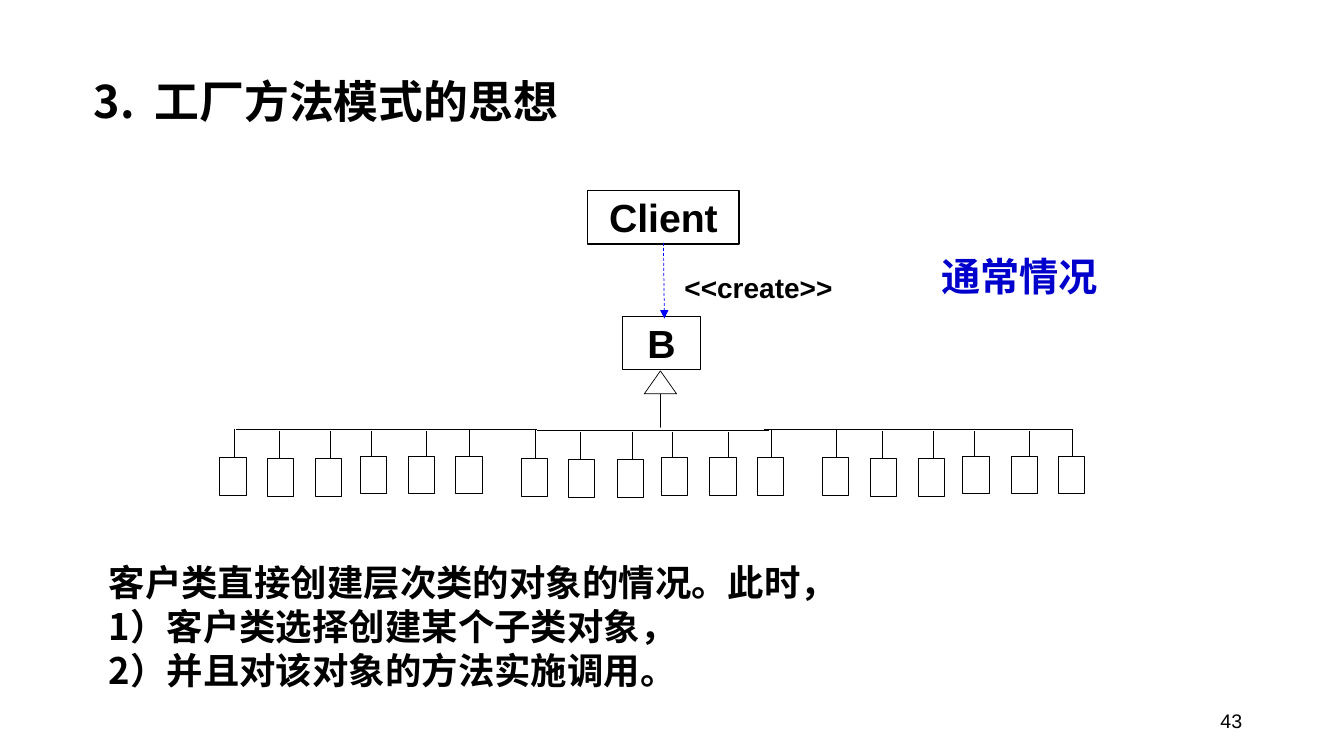
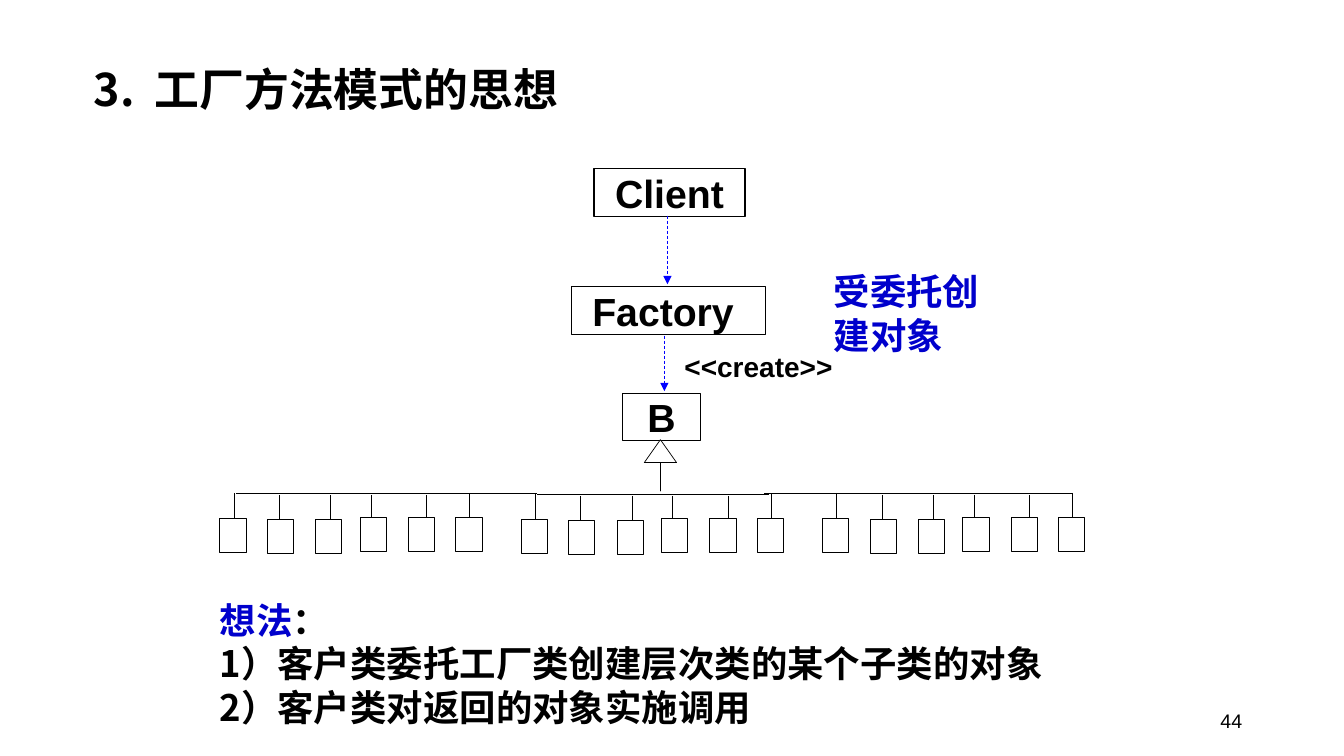
from dataclasses import dataclass

from lxml import etree
from pptx import Presentation
from pptx.dml.color import RGBColor
from pptx.enum.dml import MSO_LINE
from pptx.enum.shapes import MSO_CONNECTOR, MSO_SHAPE
from pptx.enum.text import MSO_ANCHOR, PP_ALIGN
from pptx.oxml.ns import qn
from pptx.util import Inches, Pt

LEFT, CENTER, RIGHT = PP_ALIGN.LEFT, PP_ALIGN.CENTER, PP_ALIGN.RIGHT
TOP, MIDDLE = MSO_ANCHOR.TOP, MSO_ANCHOR.MIDDLE
RECT, UP_ARROW = MSO_SHAPE.RECTANGLE, MSO_SHAPE.UP_ARROW
STRAIGHT, DASH = MSO_CONNECTOR.STRAIGHT, MSO_LINE.DASH

BLACK, WHITE, ACCENT, ARROW_BLUE = "000000", "FFFFFF", "0000CC", "0000FF"
LATIN, CHINESE = "Arial", "Noto Sans CJK SC"
THIN = 0.5
CHINESE_LEADING = 1.2
TITLE_GAP = 7

# Subclass tree: three groups of six, measured from the first group
GROUP_PITCH = 2.99
STEM_XS = (2.32, 2.77, 3.28, 3.68, 4.23, 4.66)
BOX_XS = (2.18, 2.65, 3.13, 3.57, 4.05, 4.52)
BOX_DROPS = (0.28, 0.29, 0.29, 0.27, 0.27, 0.27)
BARS = ((2.34, 5.33), (5.33, 7.63), (7.58, 10.63))
GROUP_DROPS = (0, 0.01, 0)


@dataclass(frozen=True)
class Box:
    left: float
    top: float
    width: float
    height: float


@dataclass(frozen=True)
class Run:
    text: str
    color: str = BLACK
    tracking: float = 0


@dataclass(frozen=True)
class Style:
    size: float
    font: str = LATIN
    bold: bool = True
    align: PP_ALIGN = LEFT
    anchor: MSO_ANCHOR = TOP


@dataclass(frozen=True)
class ClassBox:
    name: str
    box: Box
    line_width: float = 1


@dataclass(frozen=True)
class Arrow:
    x1: float
    y1: float
    x2: float
    y2: float


@dataclass(frozen=True)
class Note:
    box: Box
    style: Style
    lines: tuple


@dataclass(frozen=True)
class Page:
    number: int
    title_top: float
    classes: tuple
    arrows: tuple
    bar_y: float
    scale: float
    create_top: float
    notes: tuple


TITLE = Style(32, CHINESE, anchor=MIDDLE)
NUMBER = Style(14, bold=False, align=RIGHT, anchor=MIDDLE)
CLASS_NAME = Style(28, align=CENTER, anchor=MIDDLE)
CREATE = Style(20)
BODY = Style(26, CHINESE)
CAPTION = Style(28, CHINESE, align=CENTER)

PAGES = (
    Page(
        43, 0.64,
        (ClassBox("Client", Box(5.83, 1.89, 1.5, 0.53)),
         ClassBox("B", Box(6.17, 3.14, 0.78, 0.52), THIN)),
        (Arrow(6.58, 2.41, 6.59, 3.16),),
        4.26, 1, 2.63,
        (Note(Box(0.98, 5.51, 8.25, 1.41), BODY,
              ((Run("客户类直接创建层次类的对象的情况。此时，"),),
               (Run("1）客户类选择创建某个子类对象，"),),
               (Run("2）并且对该对象的方法实施调用。"),))),
         Note(Box(8.73, 2.45, 2.77, 0.57), CAPTION,
              ((Run("通常情况", ACCENT),),))),
    ),
    Page(
        44, 0.52,
        (ClassBox("Client", Box(5.89, 1.67, 1.5, 0.48)),
         ClassBox("Factory ", Box(5.67, 2.84, 1.92, 0.48)),
         ClassBox("B", Box(6.17, 3.9, 0.78, 0.47), THIN)),
        (Arrow(6.62, 2.14, 6.62, 2.82), Arrow(6.59, 3.33, 6.59, 3.88)),
        4.89, 0.91, 3.42,
        (Note(Box(2.08, 5.88, 8.92, 1.41), BODY,
              ((Run("想法", ACCENT), Run("：")),
               (Run("1）客户类委托工厂类创建层次类的某个子类的对象"),),
               (Run("2）客户类对返回的对象实施调用"),))),
         Note(Box(8.17, 2.62, 1.75, 0.98), BODY,
              ((Run("受委托创", ACCENT),), (Run("建对象", ACCENT),)))),
    ),
)


def rgb(color: str) -> RGBColor:
    return RGBColor.from_string(color)


def frame(box: Box) -> tuple:
    return tuple(Inches(v) for v in (box.left, box.top, box.width, box.height))


def write(sp, lines: tuple, style: Style) -> None:
    """Fill a shape with paragraphs, each a tuple of runs."""
    tf = sp.text_frame
    tf.word_wrap = True
    tf.vertical_anchor = style.anchor
    for i, runs in enumerate(lines):
        p = tf.add_paragraph() if i else tf.paragraphs[0]
        p.alignment = style.align
        if style.font == CHINESE:
            p.line_spacing = Pt(style.size * CHINESE_LEADING)
        for run in runs:
            r = p.add_run()
            r.text = run.text
            r.font.size = Pt(style.size)
            r.font.bold = style.bold
            r.font.name = style.font
            r.font.color.rgb = rgb(run.color)
            props = r.font._element
            etree.SubElement(props, qn("a:ea"), typeface=style.font)
            if run.tracking:
                props.set("spc", str(int(run.tracking * 100)))


def add_text(s, box: Box, lines: tuple, style: Style) -> None:
    write(s.shapes.add_textbox(*frame(box)), lines, style)


def add_block(s, kind: MSO_SHAPE, box: Box, line_width: float = THIN):
    """Add a white shape; a line width of zero leaves the outline out."""
    sp = s.shapes.add_shape(kind, *frame(box))
    sp.shadow.inherit = False
    sp.fill.solid()
    sp.fill.fore_color.rgb = rgb(WHITE)
    if line_width:
        sp.line.color.rgb = rgb(BLACK)
        sp.line.width = Pt(line_width)
    else:
        sp.line.fill.background()
    return sp


def add_line(s, x1: float, y1: float, x2: float, y2: float, color: str = BLACK):
    line = s.shapes.add_connector(STRAIGHT, *(Inches(v) for v in (x1, y1, x2, y2)))
    line.line.color.rgb = rgb(color)
    line.line.width = Pt(THIN)
    etree.SubElement(line._element.spPr, qn("a:effectLst"))
    return line


def add_arrow(s, arrow: Arrow) -> None:
    line = add_line(s, arrow.x1, arrow.y1, arrow.x2, arrow.y2, ARROW_BLUE)
    line.line.dash_style = DASH
    etree.SubElement(line.line._get_or_add_ln(), qn("a:tailEnd"), type="triangle")


def add_class(s, item: ClassBox) -> None:
    sp = add_block(s, RECT, item.box, item.line_width)
    tf = sp.text_frame
    tf.margin_left = tf.margin_right = tf.margin_top = tf.margin_bottom = 0
    write(sp, ((Run(item.name),),), CLASS_NAME)


def add_tree(s, bar_y: float, scale: float) -> None:
    """Draw the subclasses under a bar and the inheritance arrow above it."""
    for group, ((x1, x2), drop) in enumerate(zip(BARS, GROUP_DROPS)):
        shift, y = group * GROUP_PITCH, bar_y + drop
        add_line(s, x1, y, x2, y)
        for x in STEM_XS:
            top = y if x in (STEM_XS[0], STEM_XS[-1]) else y + 0.02
            add_line(s, x + shift, top, x + shift, top + 0.6 * scale)
        for x, box_drop in zip(BOX_XS, BOX_DROPS):
            add_block(s, RECT, Box(x + shift, y + box_drop * scale, 0.26, 0.37 * scale))
    arrow = add_block(s, UP_ARROW, Box(6.39, bar_y - 0.58 * scale, 0.32, 0.56 * scale))
    arrow.adjustments[0] = 0
    arrow.adjustments[1] = 0.71


def add_page(prs, page: Page) -> None:
    s = prs.slides.add_slide(prs.slide_layouts[6])
    title = (Run("3."), Run(" ", tracking=TITLE_GAP), Run("工厂方法模式的思想"))
    add_text(s, Box(0.83, page.title_top, 6, 0.72), (title,), TITLE)
    add_text(s, Box(9.42, 6.95, 3, 0.4), ((Run(str(page.number)),),), NUMBER)
    for item in page.classes:
        add_class(s, item)
    add_tree(s, page.bar_y, page.scale)
    for arrow in page.arrows:
        add_arrow(s, arrow)
    create = add_block(s, RECT, Box(6.69, page.create_top, 1.83, 0.48 * page.scale), 0)
    write(create, ((Run("<<create>>"),),), CREATE)
    for note in page.notes:
        add_text(s, note.box, note.lines, note.style)


def main() -> None:
    prs = Presentation()
    prs.slide_width, prs.slide_height = Inches(13.33), Inches(7.5)
    for page in PAGES:
        add_page(prs, page)
    prs.save("out.pptx")


if __name__ == "__main__":
    main()
